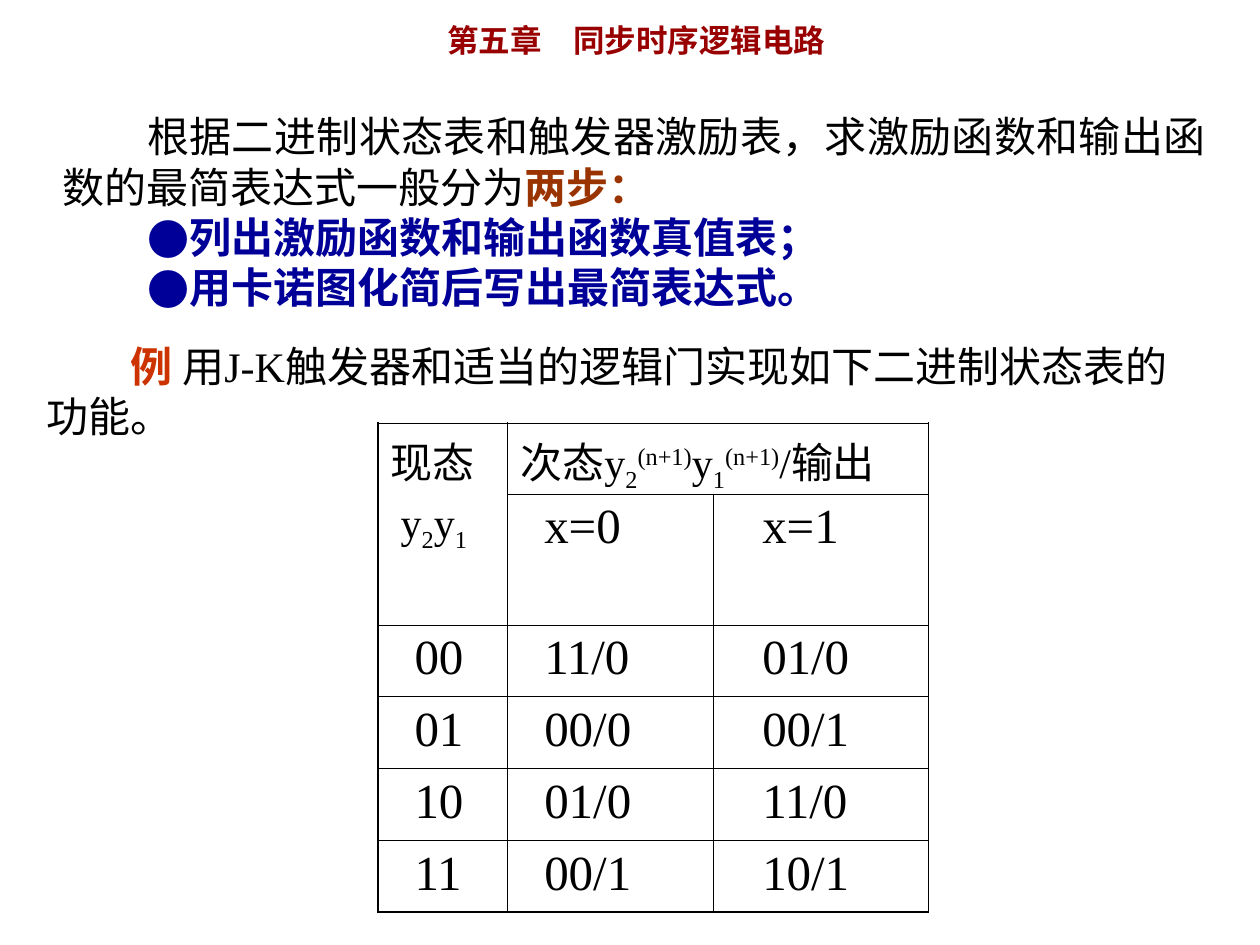
from dataclasses import dataclass
from typing import Optional

from lxml.etree import SubElement
from pptx import Presentation
from pptx.dml.color import RGBColor
from pptx.enum.text import MSO_ANCHOR, MSO_AUTO_SIZE, PP_ALIGN
from pptx.oxml.ns import qn
from pptx.util import Inches, Pt

COLORS = {
    "black": "000000",
    "title": "990000",
    "steps": "993300",
    "bullet": "000099",
    "example": "CC3300",
}
BODY_FONT = "Times New Roman"
CJK_FONT = "Noto Sans CJK JP"
FIRST_LINE = 0.67  # two full-width characters


@dataclass
class Span:
    text: str
    color: Optional[str] = None
    bold: Optional[bool] = None
    baseline: int = 0


@dataclass
class Para:
    spans: list[Span]
    color: str = "black"
    size: int = 24
    bold: bool = False
    margin: float = 0
    indent: float = 0
    bullet: str = ""
    align: PP_ALIGN = PP_ALIGN.LEFT
    space_before: int = 0
    font: str = BODY_FONT
    tab: float = 0


def rgb(name: str) -> RGBColor:
    return RGBColor.from_string(COLORS[name])


def write_paragraphs(frame, paras: list[Para]) -> None:
    for number, item in enumerate(paras):
        para = frame.paragraphs[0] if number == 0 else frame.add_paragraph()
        para.alignment = item.align
        para.space_before = Pt(item.space_before)
        properties = para._p.get_or_add_pPr()
        properties.set("marL", str(Inches(item.margin)))
        properties.set("indent", str(Inches(item.indent)))
        if item.bullet:
            SubElement(properties, qn("a:buFont"), typeface=CJK_FONT)
            SubElement(properties, qn("a:buChar"), char=item.bullet)
        if item.tab:
            tabs = SubElement(properties, qn("a:tabLst"))
            SubElement(tabs, qn("a:tab"), pos=str(Inches(item.tab)), algn="l")
        para.font.name = item.font
        para.font.size = Pt(item.size)
        para.font.bold = item.bold
        para.font.color.rgb = rgb(item.color)
        for span in item.spans:
            run = para.add_run()
            run.text = span.text
            if span.color:
                run.font.color.rgb = rgb(span.color)
            if span.bold is not None:
                run.font.bold = span.bold
            if span.baseline:
                run.font._element.set("baseline", str(span.baseline * 1000))


def add_text(page, left: float, top: float, width: float, height: float,
             paras: list[Para]) -> None:
    box = page.shapes.add_textbox(
        Inches(left), Inches(top), Inches(width), Inches(height))
    box.text_frame.word_wrap = True
    write_paragraphs(box.text_frame, paras)


def set_borders(cell, edges: dict[str, bool]) -> None:
    """Draw each side of a cell, heavier where it is on the table's edge."""
    properties = cell._tc.get_or_add_tcPr()
    for side, outer in edges.items():
        line = SubElement(properties, qn(f"a:ln{side}"),
                          w=str(Pt(1.08 if outer else 0.45)))
        fill = SubElement(line, qn("a:solidFill"))
        SubElement(fill, qn("a:srgbClr"), val=COLORS["black"])


def state_bits() -> list[Span]:
    return [Span("y"), Span("2", baseline=-25), Span("y"), Span("1", baseline=-25)]


def next_state() -> list[Span]:
    spans = [Span("次态")]
    for bit in "21":
        spans += [Span("y"), Span(bit, baseline=-25), Span("(n+1)", baseline=30)]
    return spans + [Span("/输出")]


def add_state_table(page) -> None:
    widths = [1.03, 1.63, 1.71]
    heights = [0.56, 1.04] + [0.57] * 4
    left_margins = [0.29, 0.29, 0.39]
    values = [
        ["x=0", "x=1"],
        ["00", "11/0", "01/0"],
        ["01", "00/0", "00/1"],
        ["10", "01/0", "11/0"],
        ["11", "00/1", "10/1"],
    ]
    table = page.shapes.add_table(
        len(heights), len(widths), Inches(3), Inches(3.36),
        Inches(sum(widths)), Inches(sum(heights))).table
    table.first_row = table.horz_banding = False
    for column, width in zip(table.columns, widths):
        column.width = Inches(width)
    for row, height in zip(table.rows, heights):
        row.height = Inches(height)

    # Merged headings
    table.cell(0, 0).merge(table.cell(1, 0))
    table.cell(0, 1).merge(table.cell(0, 2))
    write_paragraphs(table.cell(0, 0).text_frame, [
        Para([Span("现态")]),
        Para(state_bits(), margin=0.08, space_before=6),
    ])
    write_paragraphs(table.cell(0, 1).text_frame, [Para(next_state())])

    # Input headings and state rows
    for r, texts in enumerate(values, start=1):
        for c, text in enumerate(texts, start=len(widths) - len(texts)):
            cell = table.cell(r, c)
            cell.margin_left = Inches(left_margins[c])
            write_paragraphs(cell.text_frame, [Para([Span(text)], size=28)])

    # Borders and fill
    for r in range(len(heights)):
        for c in range(len(widths)):
            cell = table.cell(r, c)
            if not cell.is_spanned:
                rows = cell.span_height if cell.is_merge_origin else 1
                columns = cell.span_width if cell.is_merge_origin else 1
                set_borders(cell, {
                    "L": c == 0,
                    "R": c + columns == len(widths),
                    "T": r == 0,
                    "B": r + rows == len(heights),
                })
            cell.fill.background()


def main() -> None:
    deck = Presentation()
    deck.slide_width, deck.slide_height = Inches(10), Inches(7.5)
    page = deck.slides.add_slide(deck.slide_layouts[5])

    # Chapter title
    title = page.shapes.title
    title.left, title.top = Inches(3.45), Inches(0.12)
    title.width, title.height = Inches(3.68), Inches(0.4)
    title.text_frame.auto_size = MSO_AUTO_SIZE.NONE
    title.text_frame.vertical_anchor = MSO_ANCHOR.TOP
    write_paragraphs(title.text_frame, [
        Para([Span("第五章\t同步时序逻辑电路")], color="title", size=18,
             bold=True, font=CJK_FONT, tab=0.93),
    ])

    # Method in two steps
    steps = ["列出激励函数和输出函数真值表；", "用卡诺图化简后写出最简表达式。"]
    add_text(page, 0.4, 0.83, 9.27, 1.7, [
        Para([Span("根据二进制状态表和触发器激励表，求激励函数和输出函数的最简表达式一般分为"),
              Span("两步：", "steps", True)],
             indent=FIRST_LINE, align=PP_ALIGN.JUSTIFY),
        *(Para([Span(step)], color="bullet", bold=True, margin=1, indent=-0.33,
               bullet="●", align=PP_ALIGN.JUSTIFY) for step in steps),
    ])

    # Example
    add_text(page, 0.27, 2.65, 9.73, 0.9, [
        Para([Span("例 ", "example", True),
              Span("用J-K触发器和适当的逻辑门实现如下二进制状态表的")],
             indent=FIRST_LINE, align=PP_ALIGN.JUSTIFY),
        Para([Span("功能。")], align=PP_ALIGN.JUSTIFY),
    ])

    add_state_table(page)
    deck.save("out.pptx")


if __name__ == "__main__":
    main()
